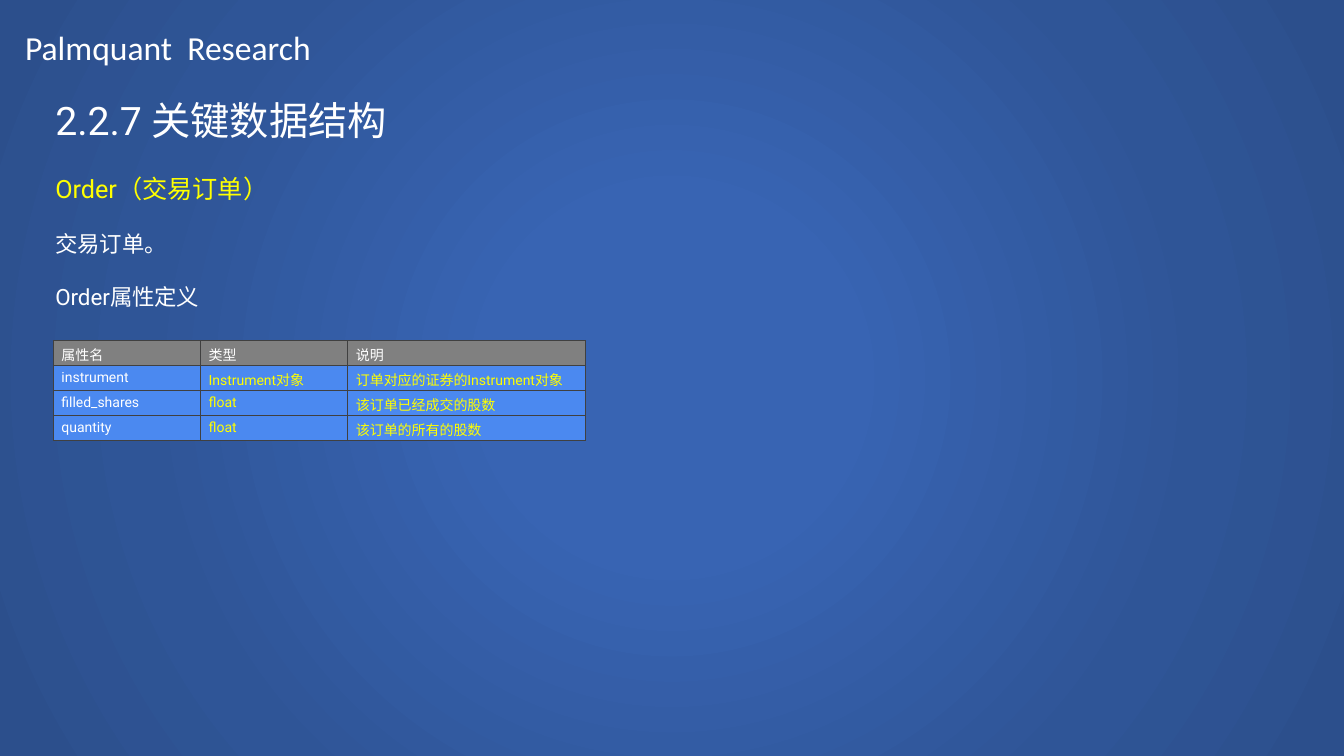
"""Build the slide on the Order data structure."""
from lxml import etree
from pptx import Presentation
from pptx.dml.color import RGBColor
from pptx.enum.shapes import MSO_SHAPE
from pptx.enum.text import MSO_ANCHOR
from pptx.oxml.ns import qn
from pptx.util import Inches, Pt

RECT = MSO_SHAPE.RECTANGLE
MIDDLE = MSO_ANCHOR.MIDDLE
WHITE = RGBColor(0xFF, 0xFF, 0xFF)
YELLOW = RGBColor(0xFF, 0xFF, 0x00)
GRAY = RGBColor(0x80, 0x80, 0x80)
BLUE = RGBColor(0x4B, 0x89, 0xF0)
BORDER = RGBColor(0x40, 0x40, 0x40)
CENTER_BLUE = RGBColor(0x38, 0x64, 0xB3)
MID_BLUE = RGBColor(0x2F, 0x55, 0x97)
EDGE_BLUE = RGBColor(0x2C, 0x4F, 0x8C)

WIDTH, HEIGHT = 13.33, 7.5
BACKDROP = [(0, CENTER_BLUE), (23, CENTER_BLUE), (69, MID_BLUE), (97, EDGE_BLUE)]
HEADER = [("Palmquant  Research", 24, WHITE, 0)]
BODY = [
    ("2.2.7 关键数据结构", 28, WHITE, 0),
    ("Order（交易订单）", 18, YELLOW, 21),
    ("交易订单。", 16, WHITE, 19),
    ("Order属性定义", 16, WHITE, 19),
]
COLUMNS = [1.46, 1.46, 2.36]
ROW_HEIGHT = 0.24
ROWS = [
    ("属性名", "类型", "说明"),
    ("instrument", "Instrument对象", "订单对应的证券的Instrument对象"),
    ("filled_shares", "float", "该订单已经成交的股数"),
    ("quantity", "float", "该订单的所有的股数"),
]


def style(p, font, size, color):
    p.font.name = font
    p.font.size = Pt(size)
    p.font.color.rgb = color


def add_color(parent, color):
    etree.SubElement(parent, qn("a:srgbClr"), val=str(color))


def add_backdrop(slide):
    sp = slide.shapes.add_shape(RECT, 0, 0, Inches(WIDTH), Inches(HEIGHT))
    sp.shadow.inherit = False
    sp.line.fill.background()
    sp.fill.gradient()
    grad = sp._element.spPr.find(qn("a:gradFill"))
    for child in list(grad):
        grad.remove(child)
    stops = etree.SubElement(grad, qn("a:gsLst"))
    for share, color in BACKDROP:
        add_color(etree.SubElement(stops, qn("a:gs"), pos=str(share * 1000)), color)
    circle = etree.SubElement(grad, qn("a:path"), path="circle")
    etree.SubElement(circle, qn("a:fillToRect"), {side: "50000" for side in "ltrb"})


def add_text(slide, box, font, lines):
    tf = slide.shapes.add_textbox(*map(Inches, box)).text_frame
    tf.word_wrap = True
    for i, (text, size, color, before) in enumerate(lines):
        p = tf.add_paragraph() if i else tf.paragraphs[0]
        p.text = text
        p.space_before = Pt(before)
        style(p, font, size, color)


def add_borders(cell):
    props = cell._tc.get_or_add_tcPr()
    for i, side in enumerate(("a:lnL", "a:lnR", "a:lnT", "a:lnB")):
        ln = etree.Element(qn(side), w=str(Pt(1)))
        add_color(etree.SubElement(ln, qn("a:solidFill")), BORDER)
        props.insert(i, ln)


def add_order_table(slide, left, top):
    size = sum(COLUMNS), ROW_HEIGHT * len(ROWS)
    table = slide.shapes.add_table(
        len(ROWS), len(COLUMNS), *map(Inches, (left, top, *size))).table
    table.horz_banding = False
    for column, width in zip(table.columns, COLUMNS):
        column.width = Inches(width)
    for r, row in enumerate(ROWS):
        table.rows[r].height = Inches(ROW_HEIGHT)
        for c, text in enumerate(row):
            cell = table.cell(r, c)
            cell.text = text
            cell.vertical_anchor = MIDDLE
            cell.margin_left = cell.margin_right = Inches(0.08)
            cell.margin_top = cell.margin_bottom = Inches(0.04)
            cell.fill.solid()
            cell.fill.fore_color.rgb = BLUE if r else GRAY
            p = cell.text_frame.paragraphs[0]
            style(p, "Roboto", 10, YELLOW if r and c else WHITE)
            p.font.bold = False
            add_borders(cell)


def main():
    prs = Presentation()
    prs.slide_width, prs.slide_height = Inches(WIDTH), Inches(HEIGHT)
    slide = prs.slides.add_slide(prs.slide_layouts[6])
    add_backdrop(slide)
    add_text(slide, (0.45, 0.91, 11.77, 3.9), "Roboto", BODY)
    add_text(slide, (0.15, 0.22, 5.04, 0.5), "Calibri", HEADER)
    add_order_table(slide, 0.53, 3.38)
    prs.save("out.pptx")


if __name__ == "__main__":
    main()
